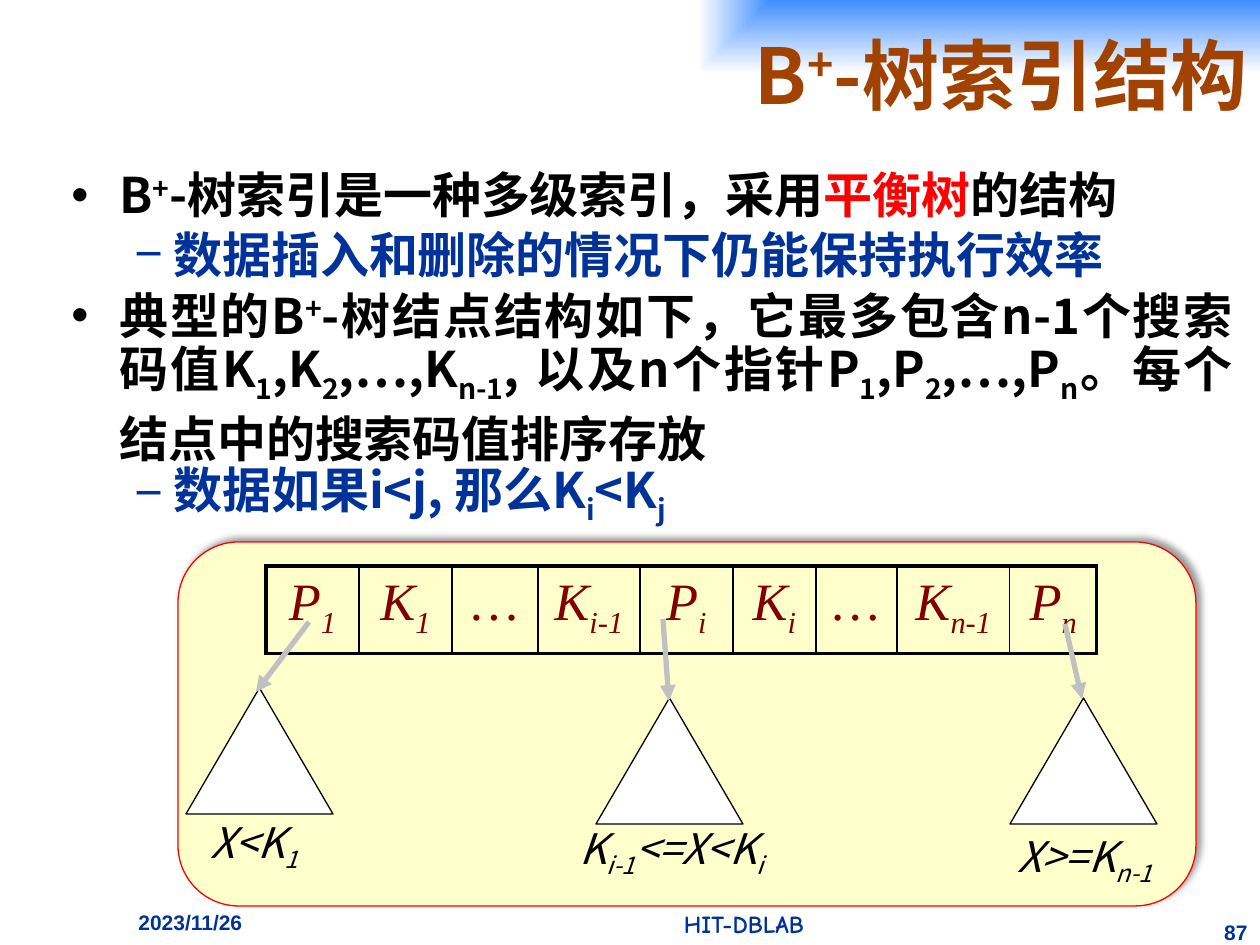
from lxml.etree import SubElement
from pptx import Presentation
from pptx.dml.color import RGBColor
from pptx.enum.shapes import MSO_CONNECTOR, MSO_SHAPE
from pptx.enum.text import MSO_ANCHOR, PP_ALIGN
from pptx.oxml import parse_xml
from pptx.oxml.ns import nsdecls, qn
from pptx.util import Emu, Pt

PX = 914400 // 126
BLACK = RGBColor(0, 0, 0)
WHITE = RGBColor(255, 255, 255)
RED = RGBColor(255, 0, 0)
BROWN = RGBColor(0xA2, 0x42, 0x00)
NAVY = RGBColor(0x00, 0x33, 0x99)
MAROON = RGBColor(0x80, 0x00, 0x00)
CREAM = RGBColor(0xFF, 0xFF, 0xCC)
SILVER = RGBColor(0xC0, 0xC0, 0xC0)
SANS_JP, SANS_SC = "Noto Sans CJK JP", "Noto Sans CJK SC"

TITLE = "B|^+|-树索引结构"
POINTS = [
    (0, 34, "B|^+|-树索引是一种多级索引，采用|!平衡树|的结构"),
    (1, 34, "数据插入和删除的情况下仍能保持执行效率"),
    (0, 35, "典型的B|^+|-树结点结构如下，它最多包含n-1个搜索码值K|_1|,K|_2|,…,K|_n-1"
            "|, 以及n个指针P|_1|,P|_2|,…,P|_n|。每个结点中的搜索码值排序存放"),
    (1, 34, "数据如果i<j, 那么K|_i|<K|_j"),
]
LEVELS = [("•", 48, 48, BLACK), ("−", 102, 39, NAVY)]
NODE = [("P|_1", 93), ("K|_1", 93), ("…", 86), ("K|_i-1", 102), ("P|_i", 93),
        ("K|_i", 83), ("…", 81), ("K|_n-1", 113), ("P|_n", 87)]
SUBTREES = [
    {"apex": (259, 688), "pointer": (309, 622, 256, 692),
     "range": "X<K|_1", "label": (198, 810, 179, 63)},
    {"apex": (669, 698), "pointer": (663, 619, 669, 701),
     "range": "K|_i-1|<=X<K|_i", "label": (567, 816, 261, 63)},
    {"apex": (1083, 698), "pointer": (1065, 624, 1082, 699),
     "range": "X>=K|_n-1", "label": (1005, 824, 172, 63)},
]
FOOTERS = [
    ("2023/11/26", (126, 903, 220, 42), 12, "Arial", PP_ALIGN.LEFT),
    ("HIT-DBLAB", (445, 903, 598, 42), 14, "Comic Neue", PP_ALIGN.CENTER),
    ("87", (1207, 913, 53, 32), 12, "Arial", PP_ALIGN.RIGHT),
]


def px(*lengths):
    return [Emu(length * PX) for length in lengths]


def write(paragraph, marked, size, face, color, align=PP_ALIGN.LEFT, bold=False, italic=False):
    """Fill a paragraph; ^, _ and ! start raised, lowered and red pieces."""
    paragraph.alignment = align
    font = paragraph.font
    font.size, font.name, font.bold, font.italic = Pt(size), face, bold, italic
    font.color.rgb = color
    SubElement(paragraph._p.pPr.find(qn("a:defRPr")), qn("a:ea"), typeface=face)
    for piece in marked.split("|"):
        run = paragraph.add_run()
        run.text = piece.lstrip("^_!")
        if piece[0] in "^_":
            run._r.get_or_add_rPr().set("baseline", "30000" if piece[0] == "^" else "-25000")
        elif piece[0] == "!":
            run.font.color.rgb = RED


def add_text(slide, box, *text, **style):
    frame = slide.shapes.add_textbox(*px(*box)).text_frame
    frame.word_wrap = True
    write(frame.paragraphs[0], *text, **style)


def add_preset(slide, preset, box, fill, line):
    shape = slide.shapes.add_shape(preset, *px(*box))
    shape.shadow.inherit = False
    shape.fill.solid()
    shape.fill.fore_color.rgb = fill
    shape.line.color.rgb = line
    shape.line.width = Pt(0.75)
    return shape


def add_title(slide):
    banner = slide.shapes.add_shape(MSO_SHAPE.RECTANGLE, *px(136, 0, 1124, 147))
    banner.shadow.inherit = False
    banner.line.fill.background()
    banner._element.spPr.find(qn("a:prstGeom")).addnext(parse_xml(
        f'<a:gradFill {nsdecls("a")} rotWithShape="1"><a:gsLst>'
        '<a:gs pos="0"><a:srgbClr val="3F8DFF"/></a:gs>'
        '<a:gs pos="100000"><a:srgbClr val="FFFFFF"/></a:gs></a:gsLst>'
        '<a:path path="rect"><a:fillToRect l="100000" b="100000"/></a:path></a:gradFill>'))
    banner.text_frame.vertical_anchor = MSO_ANCHOR.MIDDLE
    write(banner.text_frame.paragraphs[0], TITLE, 44, SANS_JP, BROWN, PP_ALIGN.RIGHT, bold=True)


def add_panel(slide):
    panel = add_preset(slide, MSO_SHAPE.ROUNDED_RECTANGLE, (178, 542, 1018, 364), CREAM, RED)
    effects = panel._element.spPr.find(qn("a:effectLst"))
    effects.append(parse_xml(
        f'<a:outerShdw {nsdecls("a")} blurRad="{Pt(4)}" dist="{Pt(3)}" dir="18900000">'
        '<a:srgbClr val="000000"><a:alpha val="40000"/></a:srgbClr></a:outerShdw>'))


def add_node(slide):
    total = sum(width for _, width in NODE)
    table = slide.shapes.add_table(1, len(NODE), *px(266, 566, total, 81)).table
    table.first_row = table.horz_banding = False
    last = len(NODE) - 1
    for index, (entry, width) in enumerate(NODE):
        table.columns[index].width = Emu(width * PX)
        cell = table.cell(0, index)
        properties = cell._tc.get_or_add_tcPr()
        heavy = {"L": index == 0, "R": index == last, "T": True, "B": True}
        for side, thick in heavy.items():
            properties.append(parse_xml(
                f'<a:ln{side} {nsdecls("a")} w="{Pt(2.25 if thick else 1)}"><a:solidFill>'
                f'<a:srgbClr val="000000"/></a:solidFill></a:ln{side}>'))
        cell.fill.background()
        cell.margin_top = cell.margin_bottom = Emu(8 * PX)
        write(cell.text_frame.paragraphs[0], entry, 30, "Times New Roman", MAROON,
              PP_ALIGN.CENTER, italic=True)


def add_subtree(slide, subtree):
    x, y = subtree["apex"]
    add_preset(slide, MSO_SHAPE.ISOSCELES_TRIANGLE, (x - 73, y, 147, 126), WHITE, BLACK)
    add_text(slide, subtree["label"], subtree["range"], 24, SANS_SC, BLACK, italic=True)
    pointer = slide.shapes.add_connector(MSO_CONNECTOR.STRAIGHT, *px(*subtree["pointer"]))
    pointer.line.color.rgb = SILVER
    pointer.line.width = Pt(3)
    SubElement(pointer.line._get_or_add_ln(), qn("a:tailEnd"), type="triangle")
    SubElement(pointer._element.spPr, qn("a:effectLst"))


def add_points(slide):
    frame = slide.shapes.add_textbox(*px(59, 158, 1186, 718)).text_frame
    frame.word_wrap = True
    for index, (level, spacing, point) in enumerate(POINTS):
        paragraph = frame.add_paragraph() if index else frame.paragraphs[0]
        bullet, margin, hanging, color = LEVELS[level]
        paragraph.level = level
        paragraph.line_spacing = Pt(spacing)
        properties = paragraph._p.get_or_add_pPr()
        properties.set("marL", str(margin * PX))
        properties.set("indent", str(-hanging * PX))
        bullet_color = SubElement(properties, qn("a:buClr"))
        SubElement(bullet_color, qn("a:srgbClr"), val=str(color))
        SubElement(properties, qn("a:buFont"), typeface="Arial")
        SubElement(properties, qn("a:buChar"), char=bullet)
        write(paragraph, point, 28, SANS_JP, color, PP_ALIGN.JUSTIFY, bold=True)


def main():
    deck = Presentation()
    deck.slide_width, deck.slide_height = px(1260, 945)
    slide = deck.slides.add_slide(deck.slide_layouts[6])
    add_title(slide)
    for label, box, size, face, align in FOOTERS:
        add_text(slide, box, label, size, face, NAVY, align, bold=True)
    add_panel(slide)
    add_node(slide)
    for subtree in SUBTREES:
        add_subtree(slide, subtree)
    add_points(slide)
    deck.save("out.pptx")


if __name__ == "__main__":
    main()
